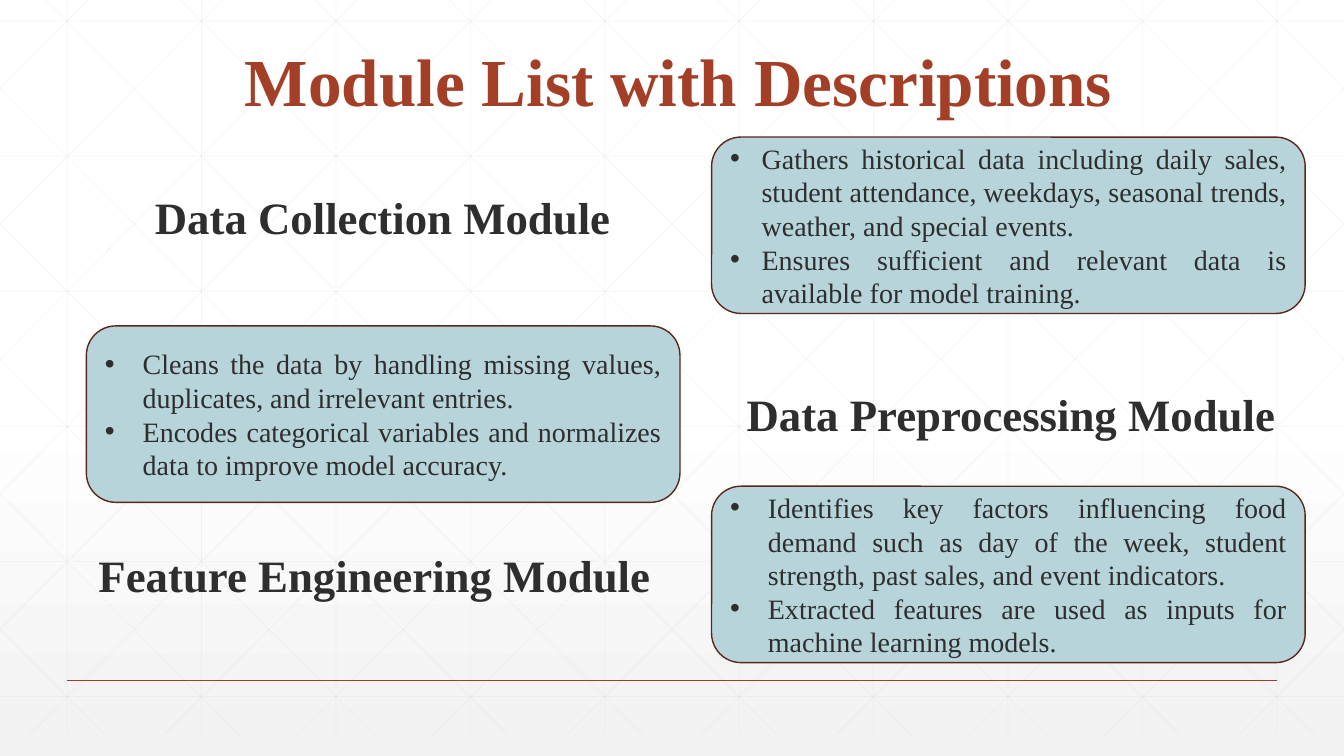
from lxml.etree import SubElement
from pptx import Presentation
from pptx.dml.color import RGBColor
from pptx.enum.shapes import MSO_CONNECTOR, MSO_SHAPE
from pptx.enum.text import MSO_ANCHOR, MSO_AUTO_SIZE, PP_ALIGN
from pptx.oxml.ns import qn
from pptx.util import Pt

WIDTH, HEIGHT = 960, 540
FONT = "Times New Roman"
COLORS = {"title": "A43F27", "text": "2D2E2D", "card": "B7D4DB", "border": "5C271B",
          "grid": "D9D9D9", "white": "FFFFFF", "shade": "F2F2F2"}
CARD_W, CARD_H = 424, 126

MODULES = [
    ("Data Collection Module", (78.5, 131.8, 390, 46), PP_ALIGN.CENTER, (508.3, 97.9), 22.5,
     ["Gathers historical data including daily sales, student attendance, weekdays, "
      "seasonal trends, weather, and special events.",
      "Ensures sufficient and relevant data is available for model training."]),
    ("Data Preprocessing Module", (512, 273, 420.5, 46), PP_ALIGN.CENTER, (61.7, 232.8), 27,
     ["Cleans the data by handling missing values, duplicates, and irrelevant entries.",
      "Encodes categorical variables and normalizes data to improve model accuracy."]),
    ("Feature Engineering Module", (63.3, 387.5, 420.5, 46), PP_ALIGN.LEFT, (508.3, 347.3), 27,
     ["Identifies key factors influencing food demand such as day of the week, student "
      "strength, past sales, and event indicators.",
      "Extracted features are used as inputs for machine learning models."]),
]


def rgb(name):
    """Return a named colour."""
    return RGBColor.from_string(COLORS[name])


def style(p, size, color, align, bold=False):
    """Set the font and alignment of a paragraph."""
    p.alignment = align
    p.font.name, p.font.size, p.font.bold = FONT, Pt(size), bold
    p.font.color.rgb = rgb(color)


def add_line(s, start, end, color, width, alpha=None):
    """Draw a straight line, optionally see-through."""
    line = s.shapes.add_connector(MSO_CONNECTOR.STRAIGHT, *map(Pt, (*start, *end)))
    line.line.width = Pt(width)
    line.line.color.rgb = rgb(color)
    sp_pr = line.element.spPr
    SubElement(sp_pr, qn("a:effectLst"))
    if alpha:
        SubElement(sp_pr.find(".//" + qn("a:srgbClr")), qn("a:alpha"), val=str(alpha * 1000))


def add_background(s):
    """Fill the slide with a vertical fade."""
    fill = s.background.fill
    fill.gradient()
    fill.gradient_angle = 270
    stops = s.element.find(".//" + qn("a:gsLst"))
    for stop in list(stops):
        stops.remove(stop)
    for pos, color in ((0, "white"), (53, "white"), (100, "shade")):
        stop = SubElement(stops, qn("a:gs"), pos=str(pos * 1000))
        clr = SubElement(stop, qn("a:srgbClr"), val=COLORS[color])
    SubElement(clr, qn("a:alpha"), val="65000")


def add_grid(s, top, bottom):
    """Draw the faint square and diagonal grid between two heights."""
    lines = [((x, top), (x, bottom)) for x in range(48, WIDTH, 96)]
    lines += [((0, 15 + 96.5 * i), (WIDTH, 15 + 96.5 * i)) for i in range(6)]
    run = 537
    slope = (bottom - top) / run
    for i in range(-5, 10):
        x = 18 + 96 * i
        x1, x2 = max(x, 0), min(x + run, WIDTH)
        y1, y2 = (top + (edge - x) * slope for edge in (x1, x2))
        lines += [((x1, y1), (x2, y2)), ((WIDTH - x1, y1), (WIDTH - x2, y2))]
    for start, end in lines:
        add_line(s, start, end, "grid", 0.5, 25)


def add_title(s, text, box):
    """Place the slide title above the grid."""
    title = s.shapes.title
    title.element.getparent().append(title.element)
    title.left, title.top, title.width, title.height = map(Pt, box)
    tf = title.text_frame
    tf.text = text
    tf.word_wrap = True
    tf.auto_size = MSO_AUTO_SIZE.NONE
    tf.vertical_anchor = MSO_ANCHOR.BOTTOM
    p = tf.paragraphs[0]
    style(p, 48, "title", PP_ALIGN.CENTER, True)
    p.line_spacing = 0.9


def add_heading(s, text, box, align):
    """Add a module name."""
    tf = s.shapes.add_textbox(*map(Pt, box)).text_frame
    tf.word_wrap = True
    tf.auto_size = MSO_AUTO_SIZE.SHAPE_TO_FIT_TEXT
    tf.text = text
    style(tf.paragraphs[0], 32, "text", align, True)


def add_card(s, box, points, indent):
    """Add a rounded card of bullet points."""
    sp = s.shapes.add_shape(MSO_SHAPE.ROUNDED_RECTANGLE, *map(Pt, box))
    sp.shadow.inherit = False
    sp.fill.solid()
    sp.fill.fore_color.rgb = rgb("card")
    sp.line.color.rgb = rgb("border")
    sp.line.width = Pt(1)
    tf = sp.text_frame
    tf.word_wrap = True
    tf.vertical_anchor = MSO_ANCHOR.MIDDLE
    tf.text = "\n".join(points)
    for p in tf.paragraphs:
        p_pr = p._p.get_or_add_pPr()
        p_pr.set("marL", str(Pt(indent)))
        p_pr.set("indent", str(-Pt(indent)))
        SubElement(p_pr, qn("a:buFont"), typeface="Arial")
        SubElement(p_pr, qn("a:buChar"), char="•")
        style(p, 20, "text", PP_ALIGN.JUSTIFY)


def main():
    """Build and save the slide."""
    prs = Presentation()
    prs.slide_width, prs.slide_height = Pt(WIDTH), Pt(HEIGHT)
    s = prs.slides.add_slide(prs.slide_layouts[5])
    add_background(s)
    add_grid(s, -15, 525)
    add_line(s, (48, 486), (912, 486), "title", 1)
    add_title(s, "Module List with Descriptions", (107, 0, 756, 90))
    for name, heading_box, align, corner, indent, points in MODULES:
        add_card(s, (*corner, CARD_W, CARD_H), points, indent)
        add_heading(s, name, heading_box, align)
    prs.save("out.pptx")


if __name__ == "__main__":
    main()
